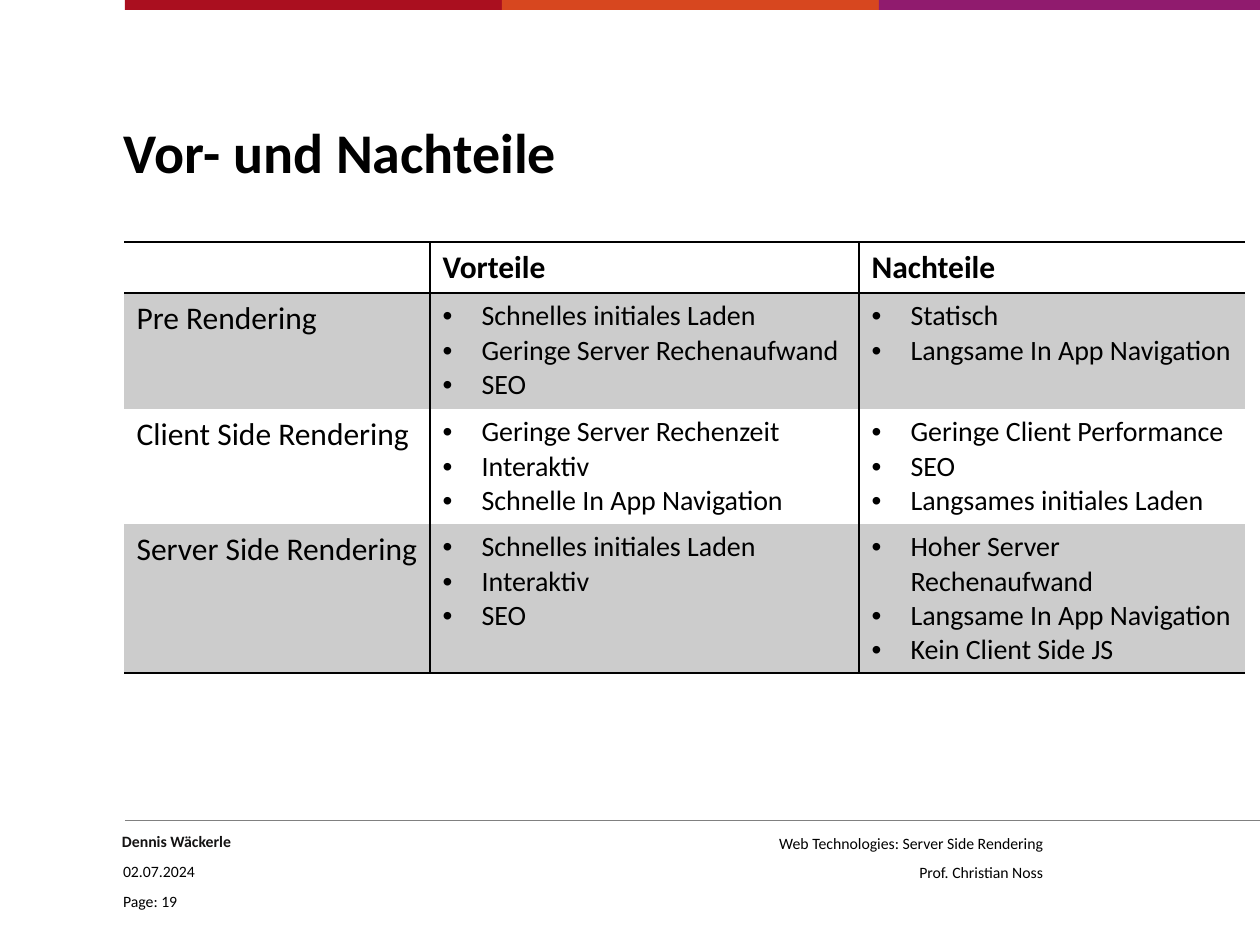
from itertools import accumulate

from lxml import etree
from pptx import Presentation
from pptx.dml.color import RGBColor
from pptx.enum import shapes, text
from pptx.oxml import ns
from pptx.util import Emu, Pt

BLACK = RGBColor(0x00, 0x00, 0x00)
AUTHOR_BLACK = RGBColor(0x14, 0x13, 0x13)
WHITE = RGBColor(0xFF, 0xFF, 0xFF)
BAND_GRAY = RGBColor(0xCC, 0xCC, 0xCC)
RULE_GRAY = RGBColor(0x80, 0x80, 0x80)
RED = RGBColor(0xAA, 0x0F, 0x1F)
ORANGE = RGBColor(0xD7, 0x47, 0x1F)
PURPLE = RGBColor(0x90, 0x1B, 0x6E)

FONT = "Calibri"
TITLE = "Vor- und Nachteile"
HEADER = ["", "Vorteile", "Nachteile"]
METHODS = [
    ("Pre Rendering",
     ["Schnelles initiales Laden", "Geringe Server Rechenaufwand", "SEO"],
     ["Statisch", "Langsame In App Navigation"]),
    ("Client Side Rendering",
     ["Geringe Server Rechenzeit", "Interaktiv", "Schnelle In App Navigation"],
     ["Geringe Client Performance", "SEO", "Langsames initiales Laden"]),
    ("Server Side Rendering",
     ["Schnelles initiales Laden", "Interaktiv", "SEO"],
     ["Hoher Server Rechenaufwand", "Langsame In App Navigation", "Kein Client Side JS"]),
]
FOOTER_LEFT = [
    ("Dennis Wäckerle", 122, 830, dict(bold=True, color=AUTHOR_BLACK)),
    ("02.07.2024", 123, 860, {}),
    ("Page: 19", 123, 890, {}),
]
FOOTER_RIGHT = ["Web Technologies: Server Side Rendering", "Prof. Christian Noss"]
TOP_BARS = [(RED, 377), (ORANGE, 377), (PURPLE, 381)]
COLUMN_WIDTHS = [306, 429, 386]
ROW_HEIGHTS = [51, 116, 115, 149]


def px(value):
    return Emu(round(value * 914400 / 126))


def write(frame, lines, size=9, bold=False, color=BLACK, align=None, spacing=None, bullet=False):
    for index, line in enumerate(lines):
        paragraph = frame.paragraphs[0] if index == 0 else frame.add_paragraph()
        paragraph.alignment = align
        paragraph.line_spacing = spacing
        paragraph.font.size = Pt(size)
        run = paragraph.add_run()
        run.text = line
        run.font.name, run.font.size = FONT, Pt(size)
        run.font.bold, run.font.color.rgb = bold, color
        if bullet:
            properties = paragraph._p.get_or_add_pPr()
            properties.set("marL", str(px(39)))
            properties.set("indent", str(-px(39)))
            font = etree.Element(ns.qn("a:buFont"), typeface="Arial")
            mark = etree.Element(ns.qn("a:buChar"), char="•")
            position = 0
            for element in (font, mark):
                properties.insert(position, element)
                position += 1


def add_text(slide, lines, left, top, width, height, inset=0, anchor=text.MSO_ANCHOR.TOP, **style):
    frame = slide.shapes.add_textbox(px(left), px(top), px(width), px(height)).text_frame
    frame.word_wrap = True
    frame.vertical_anchor = anchor
    frame.margin_left = frame.margin_right = px(inset)
    frame.margin_top = frame.margin_bottom = px(inset / 2)
    write(frame, lines, **style)


def set_borders(cell, visible):
    properties = cell._tc.get_or_add_tcPr()
    for index, side in enumerate("LRTB"):
        line = etree.Element(ns.qn(f"a:ln{side}"), w=str(Pt(1)))
        if side in visible:
            fill = etree.SubElement(line, ns.qn("a:solidFill"))
            etree.SubElement(fill, ns.qn("a:srgbClr"), val=str(BLACK))
        else:
            etree.SubElement(line, ns.qn("a:noFill"))
        properties.insert(index, line)


def add_comparison(slide):
    rows = [HEADER, *METHODS]
    table = slide.shapes.add_table(
        len(rows), len(HEADER), px(124), px(242),
        px(sum(COLUMN_WIDTHS)), px(sum(ROW_HEIGHTS))).table
    table.first_row = table.horz_banding = False
    for column, width in zip(table.columns, COLUMN_WIDTHS):
        column.width = px(width)
    for row, height in zip(table.rows, ROW_HEIGHTS):
        row.height = px(height)
    last_row, last_column = len(rows) - 1, len(HEADER) - 1
    for r, row in enumerate(rows):
        for c, content in enumerate(row):
            cell = table.cell(r, c)
            bullet = isinstance(content, list)
            write(cell.text_frame, content if bullet else [content],
                  size=16 if bullet else 18, bold=r == 0, bullet=bullet)
            cell.fill.solid()
            cell.fill.fore_color.rgb = BAND_GRAY if r % 2 else WHITE
            visible = "L" * (c > 0) + "R" * (c < last_column)
            visible += "T" * (r < 2) + "B" * (r in (0, last_row))
            set_borders(cell, visible)


def add_top_bars(slide):
    widths = [width for _, width in TOP_BARS]
    for (color, width), left in zip(TOP_BARS, accumulate(widths, initial=125)):
        bar = slide.shapes.add_shape(shapes.MSO_SHAPE.RECTANGLE, px(left), 0, px(width), px(10))
        bar.shadow.inherit = False
        bar.fill.solid()
        bar.fill.fore_color.rgb = color
        bar.line.fill.background()


def add_footer(slide):
    rule = slide.shapes.add_connector(
        shapes.MSO_CONNECTOR.STRAIGHT, px(125), px(820), px(1260), px(820))
    rule.line.color.rgb = RULE_GRAY
    rule.line.width = Pt(0.5)
    etree.SubElement(rule._element.spPr, ns.qn("a:effectLst"))
    for line, left, top, style in FOOTER_LEFT:
        add_text(slide, [line], left, top, 423, 23, spacing=Pt(11.8), **style)
    add_text(slide, FOOTER_RIGHT, 612, 818, 444, 67, inset=13,
             align=text.PP_ALIGN.RIGHT, spacing=1.5)


def main():
    presentation = Presentation()
    presentation.slide_width, presentation.slide_height = px(1260), px(945)
    slide = presentation.slides.add_slide(presentation.slide_layouts[6])
    add_top_bars(slide)
    add_footer(slide)
    add_text(slide, [TITLE], 124, 100, 1110, 121, anchor=text.MSO_ANCHOR.MIDDLE,
             size=32, bold=True, spacing=Pt(28))
    add_comparison(slide)
    presentation.save("out.pptx")


if __name__ == "__main__":
    main()
